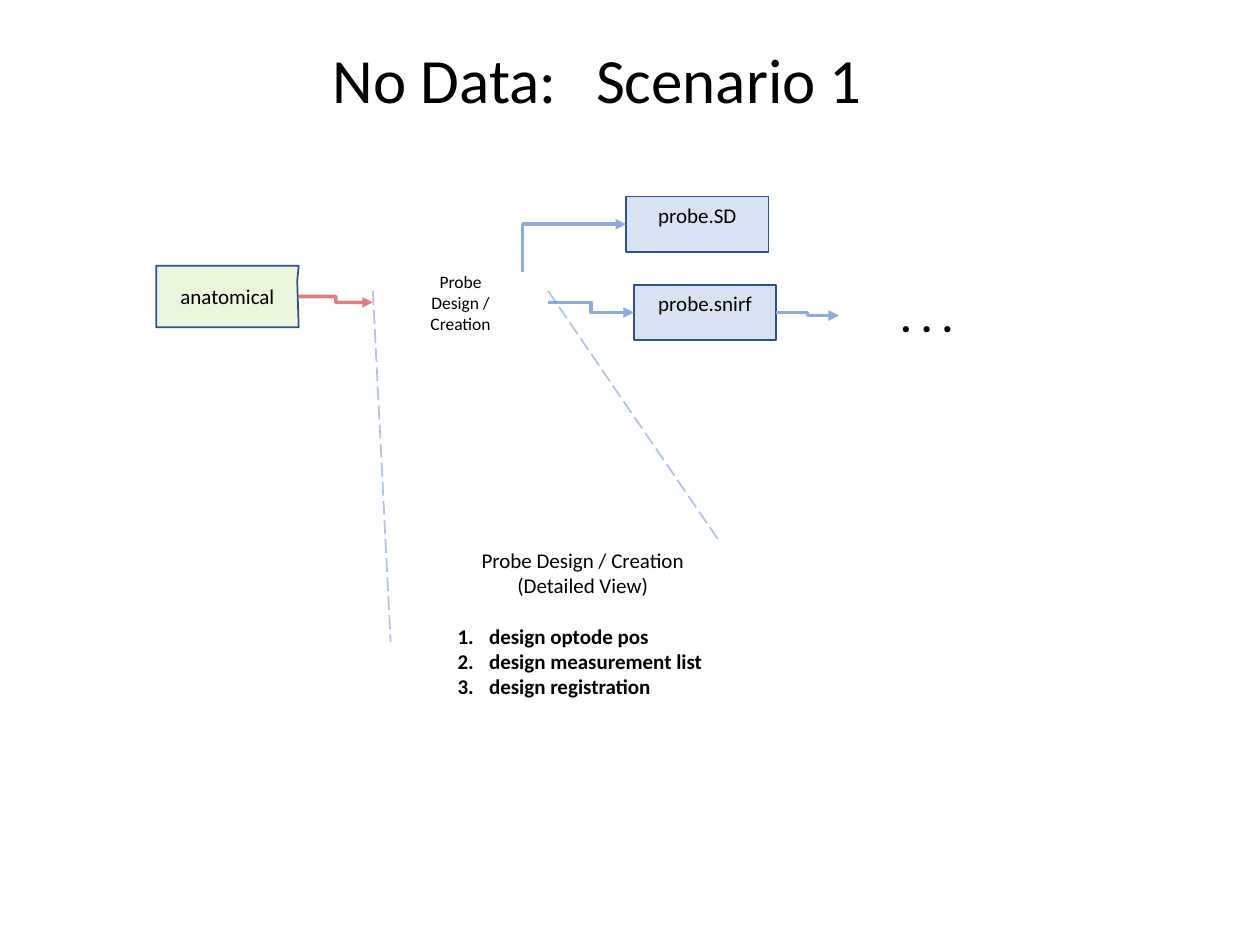
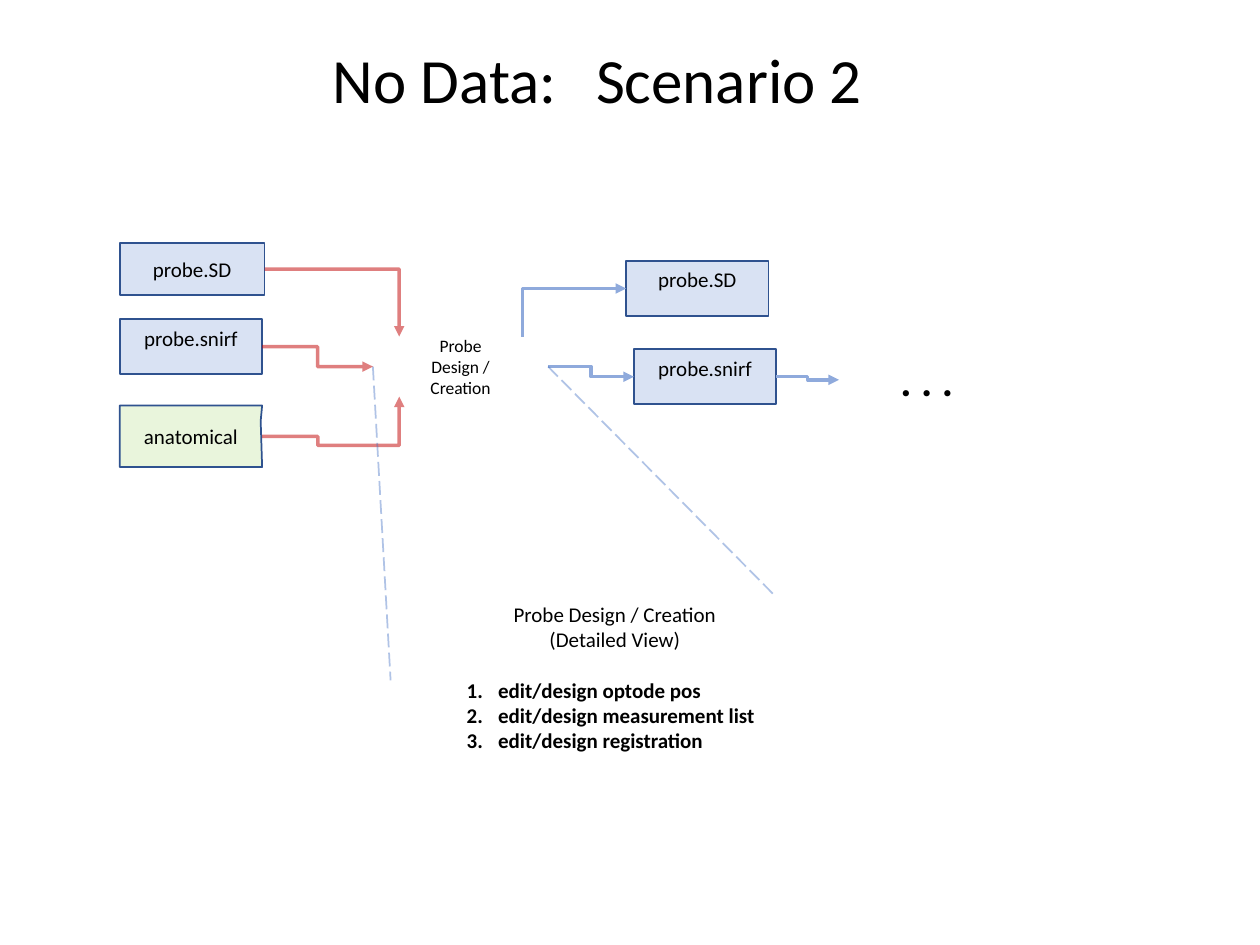
from dataclasses import dataclass
from typing import NamedTuple

from lxml.etree import SubElement
from pptx import Presentation
from pptx.dml.color import RGBColor
from pptx.enum.dml import MSO_LINE
from pptx.enum.shapes import MSO_CONNECTOR, MSO_SHAPE
from pptx.enum.text import MSO_ANCHOR, MSO_AUTO_SIZE, PP_ALIGN
from pptx.oxml.ns import qn
from pptx.util import Pt


class Box(NamedTuple):
    x: float
    y: float
    w: float
    h: float

    def at(self, fx, fy):
        """Point at a fraction of the width and height."""
        return self.x + fx * self.w, self.y + fy * self.h


@dataclass(frozen=True)
class Theme:
    font: str = "Calibri"
    ink: str = "000000"
    edge: str = "2F528F"
    probe: tuple = ("4472C4", 20)
    scan: tuple = ("92D050", 20)
    input: tuple = ("C00000", 50)
    output: tuple = ("8FAADC", 100)
    zoom: tuple = ("4472C4", 42)
    title: int = 36
    dots: int = 24
    body: int = 12
    small: int = 10


THEME = Theme()
TITLE = Box(182.9, 19.4, 363.6, 50.4)
TAB = 150.5
SIZE = (81.4, 31.7)
DETAIL = ["Probe Design / Creation", "(Detailed View)"]
STEPS = ["design optode pos", "design measurement list", "design registration"]

# Inputs: text, box, kind, route to the design step
SCENES = [
    {
        "title": "No Data:\tScenario 1",
        "top": 148.3,
        "zoom": 166.3,
        "inputs": [("anatomical", Box(89.3, 151.9, 81.4, 35.1), "scan", "side")],
        "prefix": "",
        "detail": Box(223.2, 284.4, 219.6, 164.9),
    },
    {
        "title": "No Data:\tScenario 2",
        "top": 185,
        "zoom": 209.5,
        "inputs": [
            ("probe.SD", Box(68.4, 139, 82.8, 29.5), "mid", "top"),
            ("probe.snirf", Box(68.4, 182.2, *SIZE), "probe", "side"),
            ("anatomical", Box(68.4, 231.8, 81.4, 35.1), "scan", "base"),
        ],
        "prefix": "edit/",
        "detail": Box(223.2, 319, 256.3, 139.7),
    },
]


def alpha(fill, part):
    color = fill._xPr.find(".//" + qn("a:srgbClr"))
    SubElement(color, qn("a:alpha"), val=str(part * 1000))


def paint(fill, tint):
    fill.solid()
    fill.fore_color.rgb = RGBColor.from_string(tint[0])
    if tint[1] < 100:
        alpha(fill, tint[1])


def style(para, size, bold=False, align=PP_ALIGN.CENTER):
    para.alignment = align
    for run in para.runs:
        run.font.name = THEME.font
        run.font.size = Pt(size)
        run.font.bold = bold
        run.font.color.rgb = RGBColor.from_string(THEME.ink)


def frame(shape, text, size, anchor=MSO_ANCHOR.MIDDLE, **kind):
    body = shape.text_frame
    body.word_wrap = True
    body.auto_size = MSO_AUTO_SIZE.NONE
    body.vertical_anchor = anchor
    body.text = text
    for para in body.paragraphs:
        style(para, size, **kind)
    return body


def label(slide, box, text, size, **kind):
    shape = slide.shapes.add_textbox(*map(Pt, box))
    return frame(shape, text, size, **kind)


def node(slide, text, box, kind):
    if kind == "scan":
        pen = slide.shapes.build_freeform(Pt(box.x), Pt(box.y))
        rim = [(1, 0), (0.99, 0.25), (1, 1), (0, 1)]
        pen.add_line_segments([tuple(map(Pt, box.at(*spot))) for spot in rim])
        shape = pen.convert_to_shape()
    else:
        shape = slide.shapes.add_shape(MSO_SHAPE.RECTANGLE, *map(Pt, box))
    shape.shadow.inherit = False
    paint(shape.fill, THEME.scan if kind == "scan" else THEME.probe)
    shape.line.color.rgb = RGBColor.from_string(THEME.edge)
    shape.line.width = Pt(1)
    anchor = MSO_ANCHOR.TOP if kind == "probe" else MSO_ANCHOR.MIDDLE
    frame(shape, text, THEME.body, anchor)


def link(slide, start, end, tint, bends=(), preset=None, arrow="tailEnd"):
    """Elbow arrow, or a dashed straight line when arrow is None."""
    kind = MSO_CONNECTOR.ELBOW if arrow else MSO_CONNECTOR.STRAIGHT
    line = slide.shapes.add_connector(kind, *map(Pt, start + end))
    paint(line.line.fill, tint)
    line.line.width = Pt(2 if arrow else 1)
    props = line._element.spPr
    if preset:
        geom = props.find(qn("a:prstGeom"))
        geom.set("prst", preset)
        for i, bend in enumerate(bends, 1):
            SubElement(geom.find(qn("a:avLst")), qn("a:gd"),
                       name=f"adj{i}", fmla=f"val {bend}")
    if arrow:
        SubElement(line.line._get_or_add_ln(), qn("a:" + arrow), type="triangle")
    else:
        line.line.dash_style = MSO_LINE.LONG_DASH
    SubElement(props, qn("a:effectLst"))


def detail(slide, area, prefix):
    x, y = area.at(0.142, 0.15)
    box = Box(x, y, 0.716 * area.w, 0.7 * area.h)
    body = label(slide, box, "\n".join(DETAIL), THEME.body, anchor=MSO_ANCHOR.TOP)
    for i, step in enumerate(STEPS):
        para = body.add_paragraph()
        para.text = prefix + step
        props = para._p.get_or_add_pPr()
        props.set("marL", str(Pt(18)))
        props.set("indent", str(-Pt(18)))
        if i == 0:
            para.space_before = Pt(14.6)
        SubElement(props, qn("a:buFont"), typeface="+mj-lt")
        SubElement(props, qn("a:buAutoNum"), type="arabicPeriod")
        style(para, THEME.body, bold=True, align=PP_ALIGN.LEFT)


def heading(slide, text):
    title = slide.shapes.title
    title.left, title.top, title.width, title.height = map(Pt, TITLE)
    body = frame(title, text, THEME.title, MSO_ANCHOR.TOP, align=PP_ALIGN.LEFT)
    props = body.paragraphs[0]._p.get_or_add_pPr()
    tabs = SubElement(props, qn("a:tabLst"))
    SubElement(tabs, qn("a:tab"), pos=str(Pt(TAB)), algn="l")


def scene(slide, data):
    heading(slide, data["title"])
    top = data["top"]
    step = Box(213.1, top, 100.1, 49)
    left, right = step.at(0, 0.5), step.at(1, 0.5)
    label(slide, Box(step.x + 18, top, step.w - 36, step.h),
          "Probe Design / Creation", THEME.small)

    for text, box, kind, route in data["inputs"]:
        node(slide, text, box, kind)
        start = box.at(1, 0.5)
        if route == "side":
            link(slide, start, left, THEME.input)
        elif route == "top":
            link(slide, start, step.at(0.15, 0.15), THEME.input,
                 preset="bentConnector2")
        else:
            link(slide, start, step.at(0.15, 0.85), THEME.input,
                 (40600, -22600), "bentConnector4")

    sd = Box(357.8, top - 36, *SIZE)
    snirf = Box(362.2, top + 14.4, *SIZE)
    more = Box(479.5, top - 4.3, 100.1, 72.7)
    node(slide, "probe.SD", sd, "probe")
    node(slide, "probe.snirf", snirf, "probe")
    link(slide, sd.at(0, 0.5), step.at(0.855, 0.15), THEME.output,
         preset="bentConnector2", arrow="headEnd")
    link(slide, right, snirf.at(0, 0.5), THEME.output)
    link(slide, snirf.at(1, 0.5), more.at(0, 0.5), THEME.output)
    label(slide, more, ". . .", THEME.dots, bold=True)

    area = data["detail"]
    detail(slide, area, data["prefix"])
    for x, end in ((right[0], area.at(0.855, 0.15)), (left[0], area.at(0, 0.5))):
        link(slide, (x, data["zoom"]), end, THEME.zoom, arrow=None)


def main():
    deck = Presentation()
    deck.slide_width, deck.slide_height = Pt(720), Pt(540)
    for data in SCENES:
        scene(deck.slides.add_slide(deck.slide_layouts[5]), data)
    deck.save("out.pptx")


if __name__ == "__main__":
    main()
